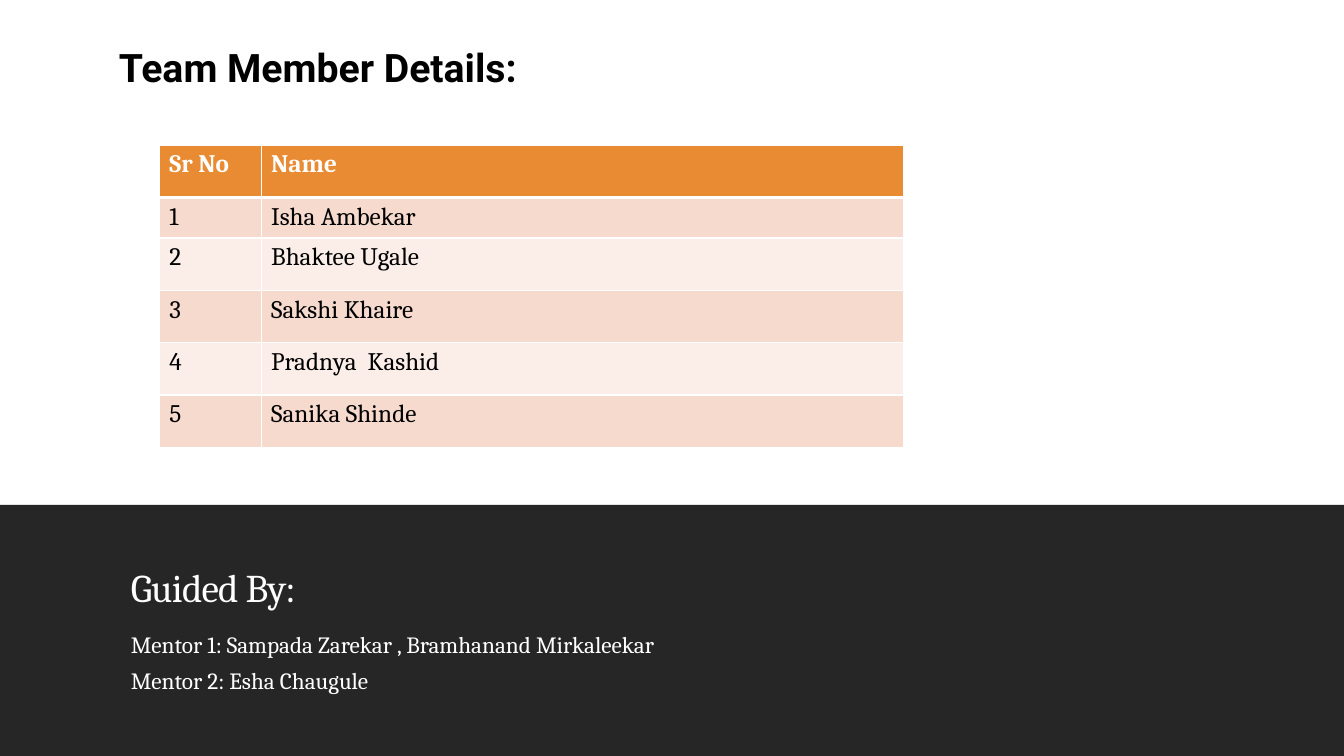
from lxml import etree
from pptx import Presentation
from pptx.dml.color import RGBColor
from pptx.enum.shapes import MSO_SHAPE
from pptx.enum.text import MSO_ANCHOR
from pptx.oxml.ns import qn
from pptx.util import Inches, Pt

RECT = MSO_SHAPE.RECTANGLE
TOP, MIDDLE, BOTTOM = MSO_ANCHOR.TOP, MSO_ANCHOR.MIDDLE, MSO_ANCHOR.BOTTOM
COLORS = {"band": "262626", "head": "E88B33", "odd": "F6DACE",
          "even": "FBEEE8", "white": "FFFFFF", "black": "000000"}


def color(name):
    return RGBColor.from_string(COLORS[name])


def write(frame, text, size=18, font="Cambria", ink="white", bold=False,
          after=0, line=None, track=None):
    for i, words in enumerate(text.split("\n")):
        para = frame.paragraphs[0] if i == 0 else frame.add_paragraph()
        para.space_after = Pt(after)
        if line:
            para.line_spacing = line
        run = para.add_run()
        run.text = words
        run.font.size = Pt(size)
        run.font.name = font
        run.font.bold = bold
        run.font.color.rgb = color(ink)
        if track:
            run.font._element.set("spc", str(int(track * 100)))


deck = Presentation()
deck.slide_width, deck.slide_height = Inches(13.33), Inches(7.5)
slide = deck.slides.add_slide(deck.slide_layouts[6])
shapes = slide.shapes

# Dark band at the foot
band = shapes.add_shape(RECT, 0, Inches(5.01), Inches(13.33), Inches(2.49))
band.shadow.inherit = False
band.fill.solid()
band.fill.fore_color.rgb = color("band")
band.line.fill.background()

# Headings and mentors
mentors = ("Mentor 1: Sampada Zarekar\u00a0, Bramhanand Mirkaleekar\n"
           "Mentor 2: Esha Chaugule")
texts = [
    ("Guided By:", (1.2, 5.25, 11.06, 0.81), 0, BOTTOM,
     dict(size=28, line=0.9, track=-0.5)),
    (mentors, (1.2, 6.25, 11.06, 0.67), 0, TOP, dict(size=16.6, after=6)),
    ("Team Member Details:", (1.08, 0.38, 8.21, 0.57), 0.05, TOP,
     dict(size=28, font="Roboto", ink="black", bold=True)),
]
for text, place, inset, anchor, style in texts:
    frame = shapes.add_textbox(*map(Inches, place)).text_frame
    frame.word_wrap = True
    frame.margin_top = frame.margin_bottom = Inches(inset)
    frame.vertical_anchor = anchor
    write(frame, text, **style)

# Team table
team = ["Isha Ambekar", "Bhaktee Ugale", "Sakshi Khaire",
        "Pradnya  Kashid", "Sanika Shinde"]
rows = [("Sr No", "Name")] + [(str(n), name) for n, name in enumerate(team, 1)]
table = shapes.add_table(len(rows), 2, Inches(1.58), Inches(1.44),
                         Inches(7.38), Inches(3)).table
for col, width in zip(table.columns, (1.01, 6.37)):
    col.width = Inches(width)

for r, row in enumerate(rows):
    table.rows[r].height = Inches(0.4 if r == 1 else 0.52)
    head = r == 0
    for c, text in enumerate(row):
        cell = table.cell(r, c)
        write(cell.text_frame, text, ink="white" if head else "black", bold=head)
        cell.vertical_anchor = MIDDLE if (r, c) == (1, 1) else TOP
        # White rules, thicker between the header and the first member
        props = cell._tc.get_or_add_tcPr()
        for side in "LRTB":
            thick = (r, side) in ((0, "B"), (1, "T"))
            rule = etree.SubElement(props, qn("a:ln" + side),
                                    w=str(Pt(3 if thick else 1)))
            fill = etree.SubElement(rule, qn("a:solidFill"))
            etree.SubElement(fill, qn("a:srgbClr"), val=COLORS["white"])
        cell.fill.solid()
        cell.fill.fore_color.rgb = color("head" if head else "odd" if r % 2 else "even")

deck.save("out.pptx")
